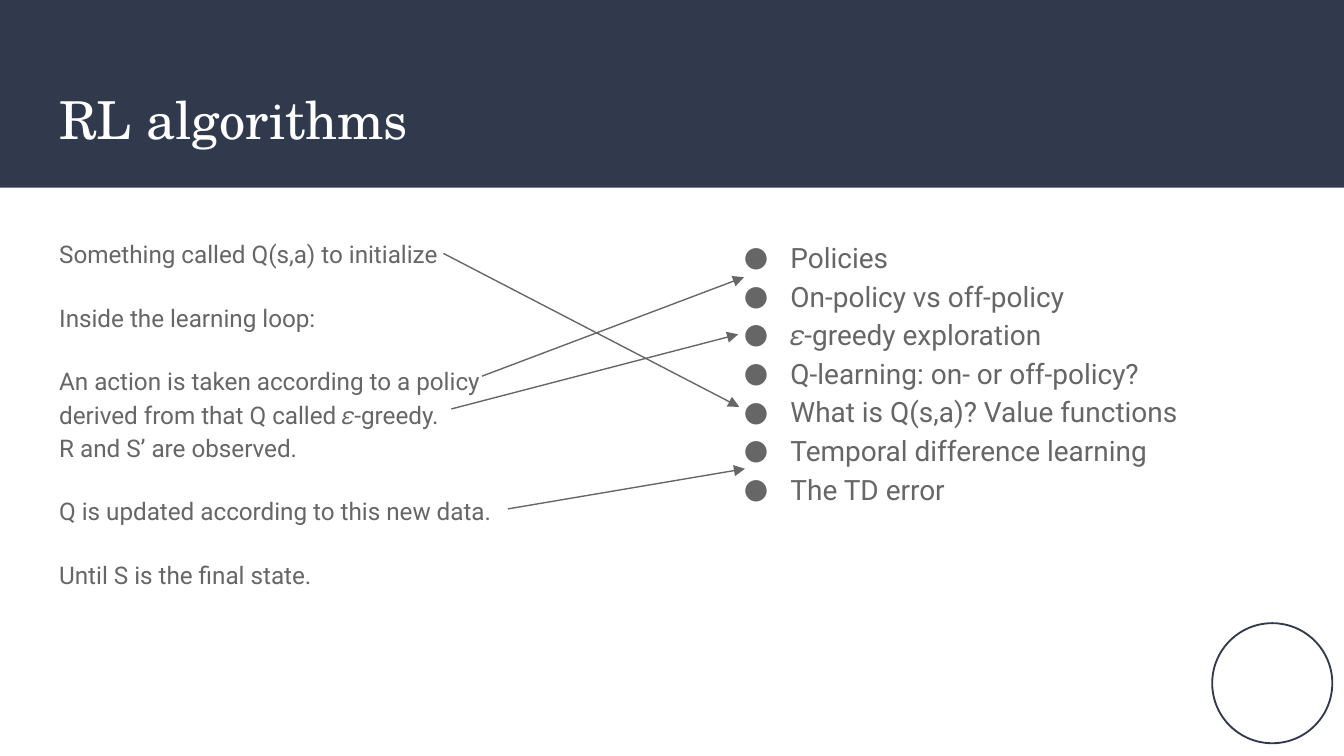
from pptx import Presentation
from pptx.dml.color import RGBColor
from pptx.enum.shapes import MSO_CONNECTOR as Conn, MSO_SHAPE as Geo
from pptx.oxml.ns import qn
from pptx.util import Cm, Pt
from lxml.etree import SubElement as Sub


def hue(code):
    return RGBColor.from_string(code)


def write(box, lines, font, size, color, gap=0, lead=1.0):
    frame = box.text_frame
    frame.word_wrap = True
    frame.margin_left = frame.margin_right = Cm(0.25)
    frame.margin_top = frame.margin_bottom = Cm(0.25)
    for i, line in enumerate(lines):
        para = frame.paragraphs[0] if i == 0 else frame.add_paragraph()
        para.line_spacing = lead
        para.space_before = Pt(gap if i else 0)
        for j, part in enumerate(line.split("\n")):
            if j:
                para.add_line_break()
            run = para.add_run()
            run.text = part
            run.font.name = font
            run.font.size = Pt(size)
            run.font.color.rgb = hue(color)
    return frame.paragraphs


NAVY, GRAY, WHITE = "31394D", "666666", "FFFFFF"

deck = Presentation()
deck.slide_width, deck.slide_height = Cm(25.4), Cm(14.29)
slide = deck.slides.add_slide(deck.slide_layouts[6])
shapes = slide.shapes

band = shapes.add_shape(Geo.RECTANGLE, Cm(0), Cm(0), Cm(25.4), Cm(3.55))
band.shadow.inherit = False
band.fill.solid()
band.fill.fore_color.rgb = hue(NAVY)
band.line.fill.background()

ring = shapes.add_shape(Geo.OVAL, Cm(22.91), Cm(11.78), Cm(2.27), Cm(2.27))
ring.shadow.inherit = False
ring.fill.background()
ring.line.color.rgb = hue(NAVY)
ring.line.width = Pt(1)

title = shapes.add_textbox(Cm(0.87), Cm(1.4), Cm(23.67), Cm(1.73))
write(title, ["RL algorithms"], "TeX Gyre Schola", 28, WHITE)

steps = [
    "Something called Q(s,a) to initialize",
    "Inside the learning loop:",
    "An action is taken according to a policy\n"
    "derived from that Q called 𝜀-greedy.\n"
    "R and S’ are observed.",
    "Q is updated according to this new data.",
    "Until S is the final state.",
]
left = shapes.add_textbox(Cm(0.87), Cm(4.2), Cm(11.1), Cm(8.53))
write(left, steps, "Roboto", 13, GRAY, 16, 1.15)

topics = [
    "Policies",
    "On-policy vs off-policy",
    "𝜀-greedy exploration",
    "Q-learning: on- or off-policy?",
    "What is Q(s,a)? Value functions",
    "Temporal difference learning",
    "The TD error",
]
right = shapes.add_textbox(Cm(13.42), Cm(4.2), Cm(11.1), Cm(8.53))
for para in write(right, topics, "Roboto", 15, GRAY, 0, 1.15):
    props = para._p.get_or_add_pPr()
    props.set("marL", str(Cm(1.27)))
    props.set("indent", str(Cm(-0.88)))
    tint = Sub(props, qn("a:buClr"))
    Sub(tint, qn("a:srgbClr"), val=GRAY)
    Sub(props, qn("a:buFont"), typeface="Roboto")
    Sub(props, qn("a:buChar"), char="●")

links = [
    (8.53, 7.73, 13.95, 6.32),
    (9.11, 7.11, 14.06, 5.24),
    (8.38, 4.79, 13.97, 7.69),
    (9.6, 9.62, 14.08, 8.86),
]
for ends in links:
    arrow = shapes.add_connector(Conn.STRAIGHT, *map(Cm, ends))
    arrow.line.color.rgb = hue(GRAY)
    arrow.line.width = Pt(0.75)
    Sub(arrow.line._get_or_add_ln(), qn("a:tailEnd"), type="triangle", w="med", len="med")
    Sub(arrow._element.spPr, qn("a:effectLst"))

deck.save("out.pptx")
